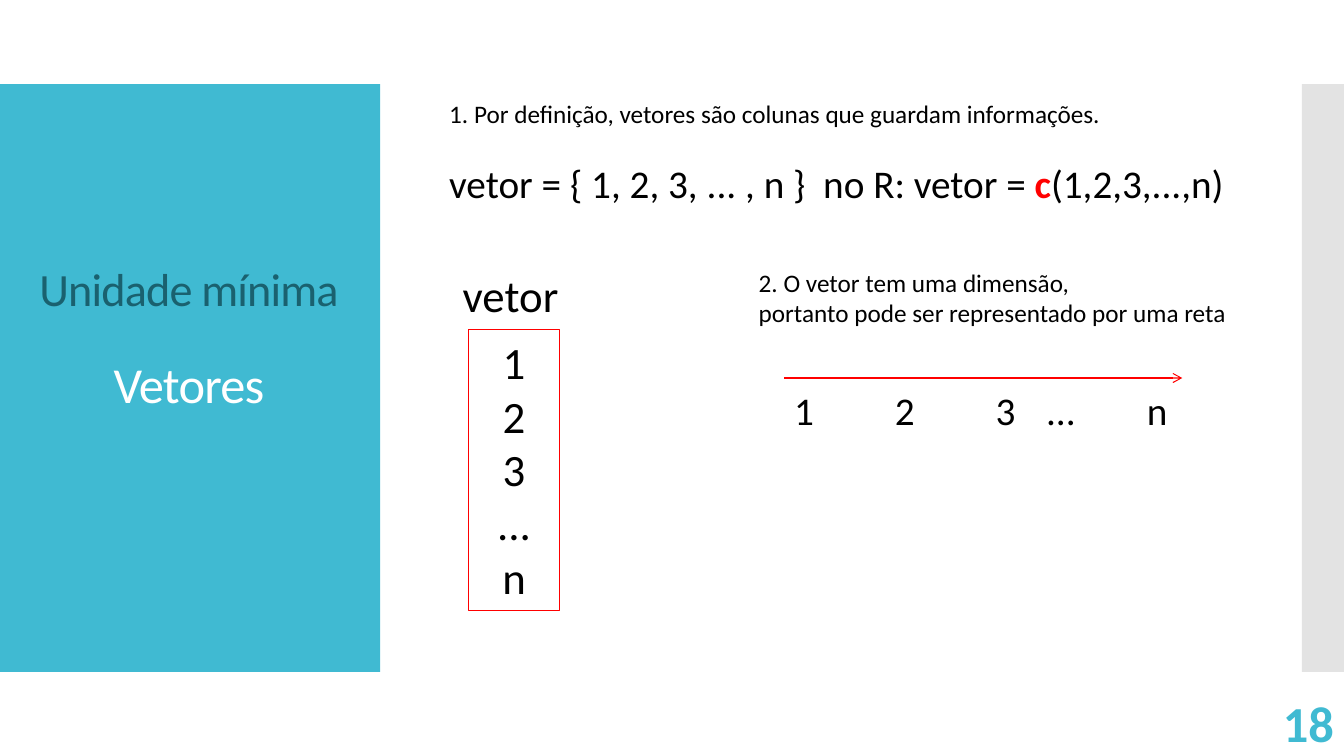
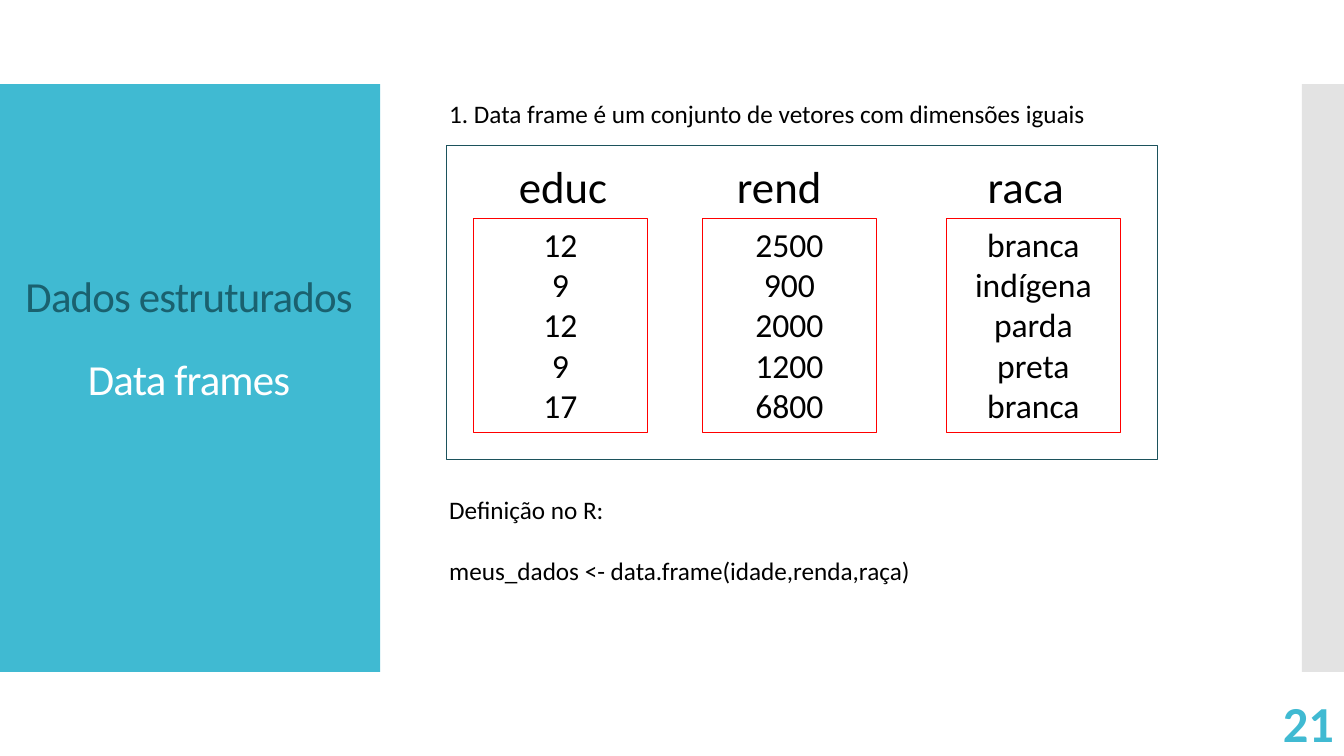
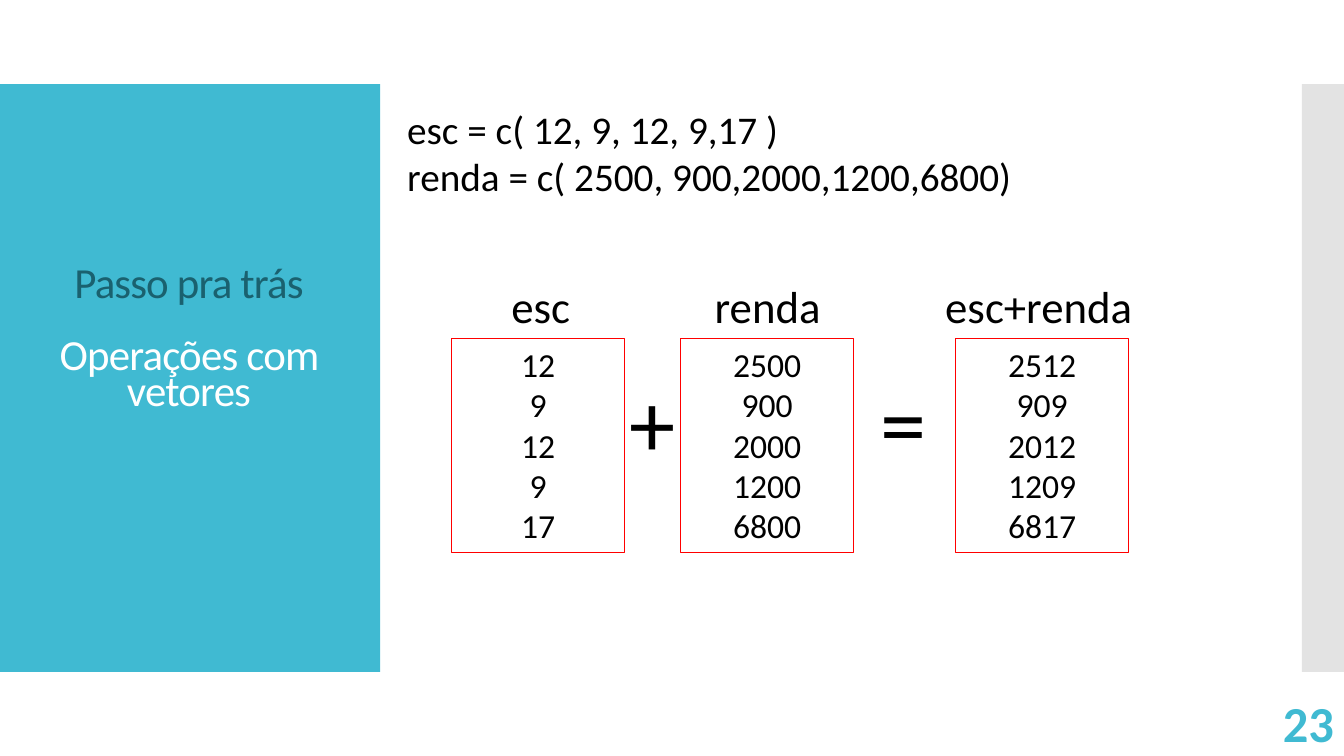
from dataclasses import dataclass

from lxml.etree import SubElement
from pptx import Presentation
from pptx.dml.color import RGBColor
from pptx.enum.shapes import MSO_CONNECTOR, MSO_SHAPE
from pptx.enum.text import MSO_ANCHOR, MSO_AUTO_SIZE, PP_ALIGN
from pptx.oxml.ns import qn
from pptx.util import Inches, Pt

WIDTH, HEIGHT = 13.33, 7.5
COLUMNS, ROWS = 32, 18
FONT = "Calibri"
BLACK, WHITE, RED = "000000", "FFFFFF", "FF0000"
TEAL, DARK_TEAL, FRAME_TEAL, GREY = "40BAD2", "1A616F", "1C525C", "C8C8C8"
LINE_HEIGHT = 1.21
LABEL_ROWS = 1.54
VALUES_WIDTH = 4.13


@dataclass
class Run:
    text: str
    color: str = BLACK
    bold: bool = False


@dataclass
class Line:
    """A paragraph: its runs, text size and the space before it, in points."""
    runs: list
    size: float = 18
    before: float = 0


def plain(text, size=18, before=0):
    return Line([Run(text)], size, before)


def rgb(value):
    return RGBColor.from_string(value)


def across(columns):
    return Inches(WIDTH * columns / COLUMNS)


def down(rows):
    return Inches(HEIGHT * rows / ROWS)


def cell_area(left, top, width, height):
    """Turn grid columns and rows into slide lengths."""
    return across(left), down(top), across(width), down(height)


def write(frame, lines, align=PP_ALIGN.LEFT, spacing=1.0, tracking=None):
    """Fill a text frame; tracking is in hundredths of a point."""
    for index, line in enumerate(lines):
        paragraph = frame.add_paragraph() if index else frame.paragraphs[0]
        paragraph.alignment = align
        paragraph.line_spacing = spacing
        paragraph.space_before = Pt(line.before)
        for part in line.runs:
            run = paragraph.add_run()
            run.text = part.text
            run.font.name = FONT
            run.font.size = Pt(line.size)
            run.font.bold = part.bold
            run.font.color.rgb = rgb(part.color)
            if tracking:
                run._r.get_or_add_rPr().set("spc", str(tracking))


def add_text(slide, area, lines, align=PP_ALIGN.LEFT, wrap=False,
             anchor=MSO_ANCHOR.TOP):
    frame = slide.shapes.add_textbox(*cell_area(*area)).text_frame
    frame.word_wrap = wrap
    frame.vertical_anchor = anchor
    write(frame, lines, align)
    return frame


def add_box(slide, area, fill=None, line=None, weight=0.75):
    box = slide.shapes.add_shape(MSO_SHAPE.RECTANGLE, *cell_area(*area))
    box.shadow.inherit = False
    if fill:
        box.fill.solid()
        box.fill.fore_color.rgb = rgb(fill)
    else:
        box.fill.background()
    if line:
        box.line.color.rgb = rgb(line)
        box.line.width = Pt(weight)
    else:
        box.line.fill.background()
    return box


def add_vector(slide, left, top, label, values, size=24, width=VALUES_WIDTH,
               shift=0.58, label_width=3.36, label_align=PP_ALIGN.LEFT,
               rise=LABEL_ROWS):
    """Draw a framed column of values, with its label starting at left + shift."""
    add_text(slide, (left + shift, top - rise, label_width, LABEL_ROWS),
             [plain(label, 32)], label_align, wrap=True)
    text_inches = len(values) * size * LINE_HEIGHT / 72 + 0.1
    box = add_box(slide, (left, top, width, text_inches * ROWS / HEIGHT), line=RED)
    box.text_frame.vertical_anchor = MSO_ANCHOR.TOP
    write(box.text_frame, [plain(value, size) for value in values], PP_ALIGN.CENTER)


def add_arrow(slide, start, end, row):
    arrow = slide.shapes.add_connector(MSO_CONNECTOR.STRAIGHT, across(start),
                                       down(row), across(end), down(row))
    arrow.line.color.rgb = rgb(RED)
    arrow.line.width = Pt(0.75)
    SubElement(arrow.line._get_or_add_ln(), qn("a:tailEnd"), type="arrow")
    SubElement(arrow.element.spPr, qn("a:effectLst"))


def set_tab_stops(paragraph, inches):
    stops = SubElement(paragraph._p.get_or_add_pPr(), qn("a:tabLst"))
    for stop in inches:
        SubElement(stops, qn("a:tab"), pos=str(Inches(stop)), algn="l")


def prepare_layout(deck):
    """Put the side bands and the title's place on the layout."""
    layout = deck.slide_layouts[5]
    title = layout.placeholders[0]
    title.left, title.top, title.width, title.height = cell_area(0, 6.24, 9, 3.8)
    title.text_frame.vertical_anchor = MSO_ANCHOR.MIDDLE
    return layout


def move_bands_to_layout(slide, layout):
    panel = add_box(slide, (0, 2, 9.05, 14), TEAL)
    edge = add_box(slide, (31, 2, 1, 14), GREY)
    edge_color = next(edge.element.spPr.iter(qn("a:srgbClr")))
    SubElement(edge_color, qn("a:alpha"), val="50000")
    for band in (edge, panel):
        layout.shapes.element.insert(2, band.element)


def add_slide(deck, layout, topic, heading, number, topic_size=30.6,
              heading_size=30.6, spacing=0.8):
    slide = deck.slides.add_slide(layout)
    frame = slide.shapes.title.text_frame
    frame.auto_size = MSO_AUTO_SIZE.NONE
    frame.vertical_anchor = MSO_ANCHOR.MIDDLE
    gap = round(heading_size * LINE_HEIGHT * spacing)
    write(frame, [Line([Run(topic, DARK_TEAL)], topic_size),
                  Line([Run(heading, WHITE)], heading_size, gap)],
          PP_ALIGN.CENTER, spacing, tracking=-60)
    add_text(slide, (28, 16.73, 4, 0.96), [Line([Run(number, TEAL, True)], 36)],
             PP_ALIGN.RIGHT, wrap=True, anchor=MSO_ANCHOR.MIDDLE)
    return slide


def fill_vectors(slide):
    add_text(slide, (10.46, 2.23, 19.03, 2.83), [
        plain("1. Por definição, vetores são colunas que guardam informações."),
        Line([Run("vetor = { 1, 2, 3, ... , n }  no R: vetor = "),
              Run("c", RED, True), Run("(1,2,3,...,n)")], 28, 22)])
    add_vector(slide, 11.16, 7.85, "vetor", ["1", "2", "3", "...", "n"], 32,
               width=2.16, shift=-0.38, label_width=2.95, rise=1.6)
    add_text(slide, (17.83, 6.24, 11.78, 1.7), [
        plain("2. O vetor tem uma dimensão,"),
        plain("portanto pode ser representado por uma reta")])
    add_arrow(slide, 18.67, 28.15, 9)
    ticks = add_text(slide, (18.67, 9.07, 9.46, 1.37),
                     [plain("1\t2\t3\t...\tn", 28)])
    set_tab_stops(ticks.paragraphs[0], (1, 2, 2.5, 3.5))


def fill_data_frames(slide, schooling, income):
    add_text(slide, (10.46, 2.23, 16.18, 0.96), [
        plain("1. Data frame é um conjunto de vetores com dimensões iguais")])
    add_text(slide, (10.46, 11.66, 11.78, 2.42), [
        plain("Definição no R:"),
        plain("meus_dados <- data.frame(idade,renda,raça)", before=22)])
    top = 5.21
    add_vector(slide, 11.28, top, "educ", schooling, shift=0.65,
               label_width=2.95, label_align=PP_ALIGN.CENTER)
    add_vector(slide, 16.73, top, "rend", income)
    add_vector(slide, 22.54, top, "raca",
               ["branca", "indígena", "parda", "preta", "branca"],
               shift=0.74, label_width=2.95)
    add_box(slide, (10.63, 3.46, 16.94, 7.49), line=FRAME_TEAL, weight=0.85)


def fill_operations(slide, schooling, income):
    total = [str(int(years) + int(pay)) for years, pay in zip(schooling, income)]
    top = 8.07
    add_vector(slide, 10.75, top, "esc", schooling, shift=0.65,
               label_width=2.95, label_align=PP_ALIGN.CENTER)
    add_vector(slide, 16.2, top, "renda", income)
    add_vector(slide, 22.75, top, "esc+renda", total, shift=-0.48, label_width=5.09)
    for sign, left in (("+", 14.74), ("=", 20.74)):
        add_text(slide, (left, 8.57, 1.63, 2.9), [plain(sign, 66)])
    add_text(slide, (9.46, 2.38, 14.95, 2.5), [
        plain("esc = c( 12, 9, 12, 9,17 )", 28),
        plain("renda = c( 2500, 900,2000,1200,6800)", 28)])


def main():
    deck = Presentation()
    deck.slide_width, deck.slide_height = Inches(WIDTH), Inches(HEIGHT)
    layout = prepare_layout(deck)
    schooling = ["12", "9", "12", "9", "17"]
    income = ["2500", "900", "2000", "1200", "6800"]

    vectors = add_slide(deck, layout, "Unidade mínima", "Vetores", "18", 33, 36)
    move_bands_to_layout(vectors, layout)
    fill_vectors(vectors)
    data_frames = add_slide(deck, layout, "Dados estruturados", "Data frames", "21")
    fill_data_frames(data_frames, schooling, income)
    operations = add_slide(deck, layout, "Passo pra trás", "Operações com vetores",
                           "23", spacing=0.7)
    fill_operations(operations, schooling, income)
    deck.save("out.pptx")


if __name__ == "__main__":
    main()
